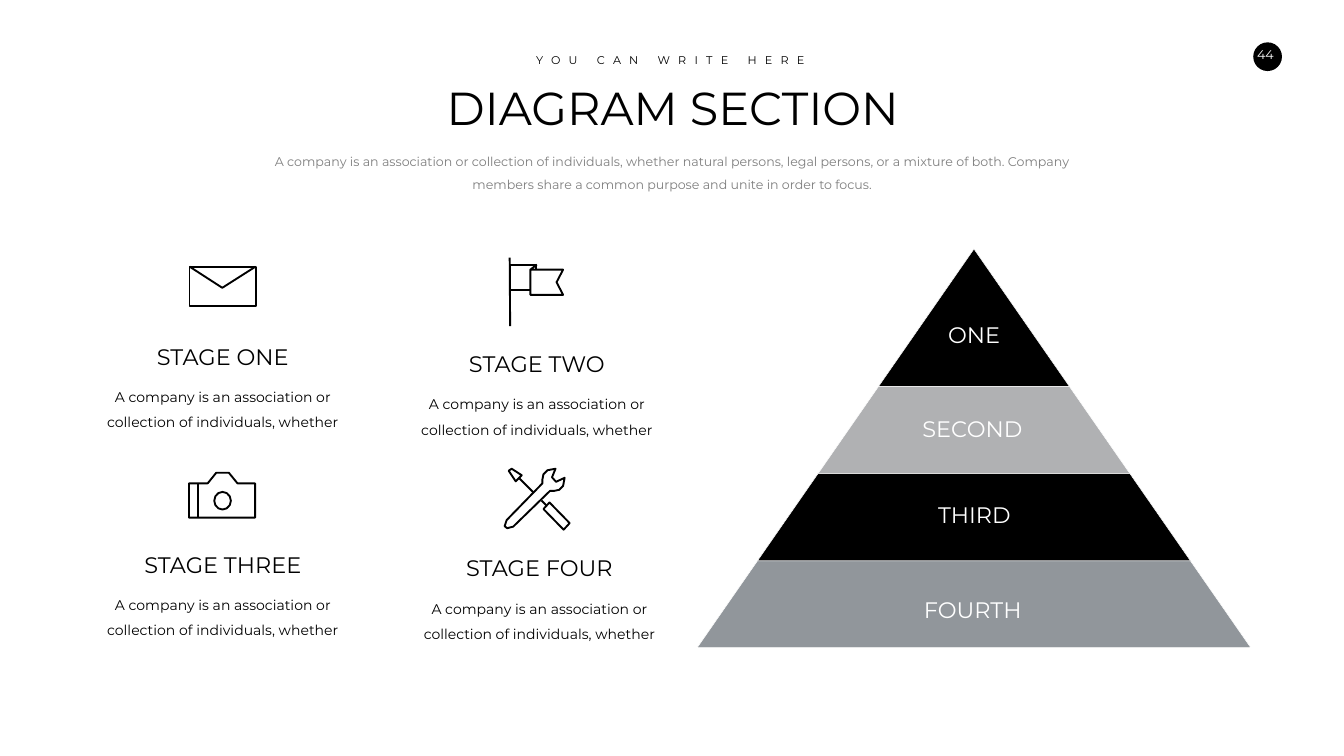
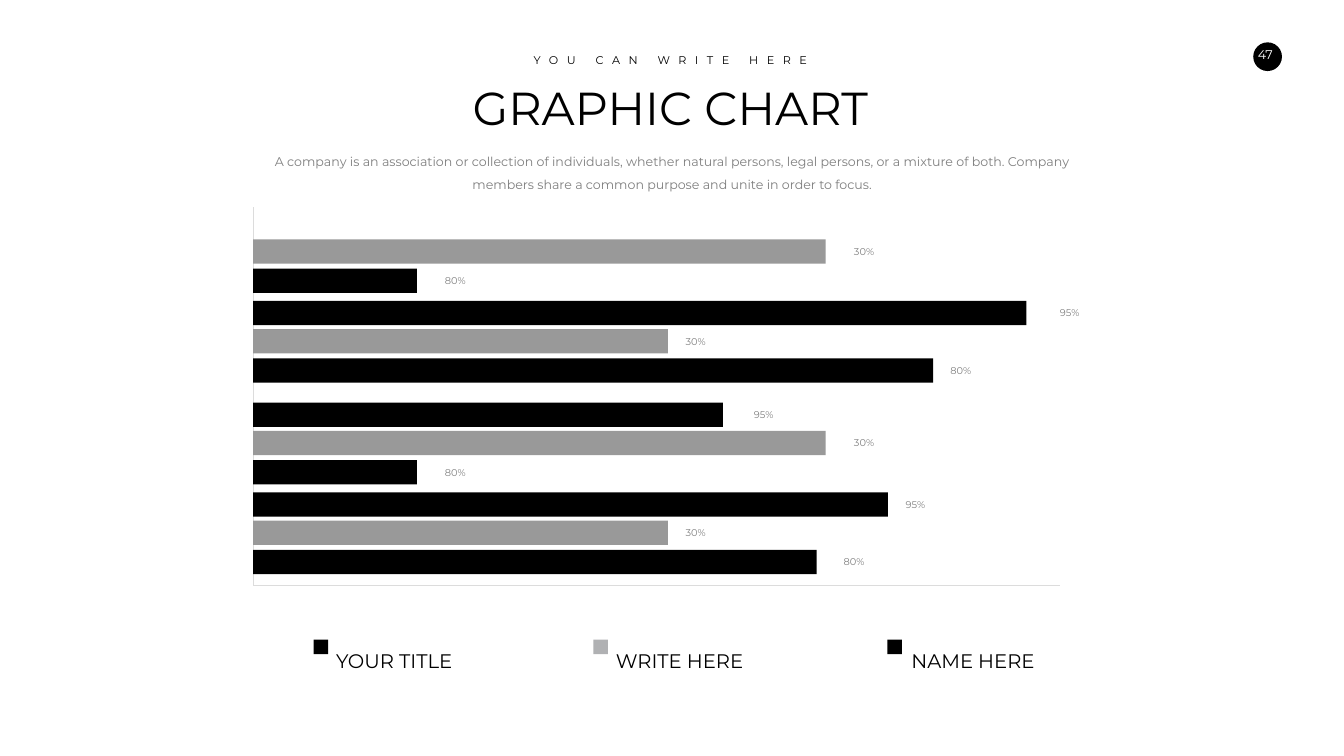
from typing import NamedTuple

from lxml import etree
from pptx import Presentation
from pptx.dml.color import RGBColor
from pptx.enum.shapes import MSO_CONNECTOR, MSO_SHAPE
from pptx.enum.text import MSO_ANCHOR, PP_ALIGN
from pptx.oxml.ns import qn
from pptx.util import Inches, Pt

RECTANGLE, OVAL = MSO_SHAPE.RECTANGLE, MSO_SHAPE.OVAL
STRAIGHT = MSO_CONNECTOR.STRAIGHT
LEFT, CENTER = PP_ALIGN.LEFT, PP_ALIGN.CENTER
TOP, MIDDLE = MSO_ANCHOR.TOP, MSO_ANCHOR.MIDDLE

FONT = "Montserrat"
BLACK, WHITE = "000000", "FFFFFF"
SILVER, SLATE, BAR_GRAY = "B0B1B3", "91969B", "999999"
INTRO_GRAY, LABEL_GRAY, AXIS_GRAY = "7F7F7F", "808080", "DCDCDC"

ICON_LINE = 2.7
SLIDE_WIDTH, SLIDE_HEIGHT = 26.66, 15
MIDDLE_X = SLIDE_WIDTH / 2
INTRO = ("A company is an association or collection of individuals, whether natural persons, "
         "legal persons, or a mixture of both. Company members share a common purpose and "
         "unite in order to focus.")
STAGE_TEXT = "A company is an association or collection of individuals, whether"

Point = tuple[float, float]


class Box(NamedTuple):
    left: float
    top: float
    width: float
    height: float


class Stage(NamedTuple):
    title: str
    center: float
    top: float
    title_width: float


class Tier(NamedTuple):
    label: str
    height: float
    color: str
    label_box: Box


class Bar(NamedTuple):
    label: str
    length: float
    label_gap: float = 0
    label_width: float = 1.1


class LegendItem(NamedTuple):
    label: str
    color: str
    marker_left: float
    text_left: float


STAGES = [
    Stage("STAGE ONE", 4.42, 6.75, 3.59),
    Stage("STAGE TWO", 10.65, 6.9, 3.66),
    Stage("STAGE THREE", 4.42, 10.88, 4.27),
    Stage("STAGE FOUR", 10.7, 10.95, 3.95),
]

APEX: Point = (19.32, 4.94)
PYRAMID_SLOPE = 5.49 / 7.91
TIERS = [
    Tier("ONE", 2.73, BLACK, Box(18.59, 6.32, 1.47, 0.64)),
    Tier("SECOND", 1.73, SILVER, Box(17.96, 8.19, 2.66, 0.64)),
    Tier("THIRD", 1.73, BLACK, Box(18.31, 9.9, 2.04, 0.64)),
    Tier("FOURTH", 1.72, SLATE, Box(17.99, 11.77, 2.61, 0.64)),
]

ENVELOPE = [
    [(5.07, 6.07), (3.76, 6.07), (3.76, 5.29), (5.07, 5.29), (5.07, 6.07)],
    [(3.76, 5.29), (4.41, 5.71), (5.07, 5.29)],
]
FLAG = [
    [(10.11, 5.11), (10.12, 6.47)],
    [(10.65, 5.25), (10.52, 5.35), (10.52, 5.85), (11.17, 5.85), (11.04, 5.6),
     (11.17, 5.35), (10.52, 5.35)],
    [(10.52, 5.75), (10.11, 5.75), (10.11, 5.25), (10.64, 5.25), (10.64, 5.35)],
]
CAMERA = [
    [(4.71, 9.59), (4.54, 9.38), (4.29, 9.38), (4.12, 9.59), (3.75, 9.59), (3.75, 10.27),
     (5.06, 10.27), (5.06, 9.59), (4.71, 9.59)],
    [(3.92, 9.59), (3.92, 10.28)],
]
LENS = Box(4.25, 9.76, 0.33, 0.35)
TOOLS = [
    [(10.74, 9.93), (10.84, 10.03)],
    [(10.78, 10.1), (10.9, 9.97), (11.3, 10.38), (11.18, 10.51), (10.78, 10.1)],
    [(10.23, 9.55), (10.35, 9.43), (10.15, 9.3), (10.09, 9.34), (10.23, 9.55)],
    [(10.58, 9.77), (10.29, 9.48)],
    [(11.2, 9.48), (11.03, 9.56), (10.95, 9.47), (11.02, 9.3), (10.86, 9.33), (10.78, 9.41),
     (10.76, 9.51), (10.76, 9.59), (10.05, 10.32), (10.01, 10.44), (10.06, 10.48),
     (10.18, 10.45), (10.91, 9.74), (10.99, 9.74), (11.09, 9.72), (11.17, 9.64), (11.2, 9.48)],
]

AXIS_LEFT, AXIS_RIGHT, AXIS_TOP, AXIS_BOTTOM = 5.02, 21.03, 4.11, 11.61
BAR_HEIGHT, BAR_LABEL_HEIGHT = 0.48, 0.56
BAR_OFFSETS = {"95%": 0, "30%": 0.56, "80%": 1.14}
BAR_GROUPS = [
    (4.19, [Bar("30%", 11.36, 0, 1.52), Bar("80%", 3.25, 0, 1.52)]),
    (5.97, [Bar("95%", 15.34, 0.31), Bar("30%", 8.23), Bar("80%", 13.49)]),
    (7.99, [Bar("95%", 9.32, 0.26), Bar("30%", 11.36, 0, 1.52), Bar("80%", 3.25, 0, 1.52)]),
    (9.77, [Bar("95%", 12.59), Bar("30%", 8.23), Bar("80%", 11.18, 0.19)]),
]
LEGEND = [
    LegendItem("YOUR TITLE", BLACK, 6.22, 6.57),
    LegendItem("WRITE HERE", SILVER, 11.77, 12.12),
    LegendItem("NAME HERE", BLACK, 17.6, 17.98),
]


def rgb(color: str) -> RGBColor:
    return RGBColor.from_string(color)


def inches(values) -> list[int]:
    return [Inches(value) for value in values]


def centered(center: float, top: float, width: float, height: float) -> Box:
    return Box(center - width / 2, top, width, height)


def add_text(slide, box: Box, text: str, size: float, color: str = BLACK, align=CENTER,
             line_spacing: float = 1.0, anchor=TOP, margins: Point = (0.1, 0.05)):
    shape = slide.shapes.add_textbox(*inches(box))
    frame = shape.text_frame
    frame.word_wrap = True
    frame.vertical_anchor = anchor
    frame.margin_left = frame.margin_right = Inches(margins[0])
    frame.margin_top = frame.margin_bottom = Inches(margins[1])
    paragraph = frame.paragraphs[0]
    paragraph.alignment = align
    paragraph.line_spacing = line_spacing
    run = paragraph.add_run()
    run.text = text
    run.font.name = FONT
    run.font.size = Pt(size)
    run.font.color.rgb = rgb(color)
    return shape


def style_shape(shape, fill: str | None, line: str | None = None, width: float = 0) -> None:
    shape.shadow.inherit = False
    if fill:
        shape.fill.solid()
        shape.fill.fore_color.rgb = rgb(fill)
    else:
        shape.fill.background()
    if line:
        shape.line.color.rgb = rgb(line)
        shape.line.width = Pt(width)
    else:
        shape.line.fill.background()


def add_block(shapes, kind, box: Box, fill: str | None, line: str | None = None,
              width: float = 0) -> None:
    style_shape(shapes.add_shape(kind, *inches(box)), fill, line, width)


def add_line(shapes, start: Point, end: Point, color: str, width: float) -> None:
    connector = shapes.add_connector(STRAIGHT, *inches(start + end))
    connector.line.color.rgb = rgb(color)
    connector.line.width = Pt(width)
    etree.SubElement(connector._element.spPr, qn("a:effectLst"))


def add_outline(shapes, points: list[Point], fill: str | None, line: str, width: float,
                close: bool = False) -> None:
    builder = shapes.build_freeform(*inches(points[0]))
    builder.add_line_segments([tuple(inches(point)) for point in points[1:]], close=close)
    style_shape(builder.convert_to_shape(), fill, line, width)


def add_eyebrow(slide, text: str, tracking: float) -> None:
    """Add a line of widely tracked letters; tracking is in points."""
    box = centered(MIDDLE_X - 0.03, 1.02, 5.78, 0.37)
    shape = add_text(slide, box, text, 16, margins=(0, 0.04))
    properties = shape.text_frame.paragraphs[0].runs[0]._r.get_or_add_rPr()
    properties.set("spc", str(round(tracking * 100)))


def add_base_slide(presentation, number: int, title: str, title_box: Box, tracking: float):
    slide = presentation.slides.add_slide(presentation.slide_layouts[6])
    slide.background.fill.solid()
    slide.background.fill.fore_color.rgb = rgb(WHITE)
    add_block(slide.shapes, OVAL, Box(24.86, 0.84, 0.57, 0.57), BLACK)
    add_text(slide, Box(24.67, 0.84, 0.86, 0.5), str(number), 18, WHITE, margins=(0.2, 0.1))
    add_text(slide, title_box, title, 66)
    add_eyebrow(slide, "YOU CAN WRITE HERE", tracking)
    add_text(slide, Box(5.32, 2.86, 16.03, 1.01), INTRO, 18, INTRO_GRAY, line_spacing=1.5)
    return slide


def add_icon(slide, strokes: list[list[Point]], lens: Box | None = None) -> None:
    shapes = slide.shapes.add_group_shape().shapes
    for points in strokes:
        if len(points) == 2:
            add_line(shapes, points[0], points[1], BLACK, ICON_LINE)
        else:
            add_outline(shapes, points, None, BLACK, ICON_LINE)
    if lens:
        add_block(shapes, OVAL, lens, None, BLACK, ICON_LINE)


def add_stage(slide, stage: Stage) -> None:
    add_text(slide, centered(stage.center, stage.top + 0.74, 4.82, 0.95), STAGE_TEXT, 20,
             line_spacing=1.5)
    add_text(slide, centered(stage.center, stage.top, stage.title_width, 0.64), stage.title, 32)


def add_pyramid(slide) -> None:
    center, top = APEX
    for tier in TIERS:
        bottom = top + tier.height
        upper, lower = [(y - APEX[1]) * PYRAMID_SLOPE for y in (top, bottom)]
        corners = [(center - lower, bottom), (center - upper, top),
                   (center + upper, top), (center + lower, bottom)]
        add_outline(slide.shapes, corners, tier.color, WHITE, 0.75, close=True)
        add_text(slide, tier.label_box, tier.label, 32, WHITE)
        top = bottom


def add_bar(slide, bar: Bar, top: float) -> None:
    color = BAR_GRAY if bar.label == "30%" else BLACK
    add_block(slide.shapes, RECTANGLE, Box(AXIS_LEFT, top, bar.length, BAR_HEIGHT), color)
    label_box = Box(AXIS_LEFT + bar.length + bar.label_gap, top - 0.04,
                    bar.label_width, BAR_LABEL_HEIGHT)
    add_text(slide, label_box, bar.label, 14, LABEL_GRAY, anchor=MIDDLE, margins=(0, 0))


def build_diagram_slide(presentation) -> None:
    slide = add_base_slide(presentation, 44, "DIAGRAM SECTION", Box(8.14, 1.52, 10.41, 1.21), 11.8)
    add_pyramid(slide)
    for strokes in (ENVELOPE, FLAG, TOOLS):
        add_icon(slide, strokes)
    add_icon(slide, CAMERA, LENS)
    for stage in STAGES:
        add_stage(slide, stage)


def build_chart_slide(presentation) -> None:
    slide = add_base_slide(presentation, 47, "GRAPHIC CHART", Box(8.73, 1.52, 9.13, 1.21), 12.2)
    origin = (AXIS_LEFT, AXIS_BOTTOM)
    for end in ((AXIS_LEFT, AXIS_TOP), (AXIS_RIGHT, AXIS_BOTTOM)):
        add_line(slide.shapes, origin, end, AXIS_GRAY, 1)
    for group_top, bars in BAR_GROUPS:
        for bar in bars:
            add_bar(slide, bar, group_top + BAR_OFFSETS[bar.label])
    for item in LEGEND:
        add_block(slide.shapes, RECTANGLE, Box(item.marker_left, 12.69, 0.29, 0.29), item.color)
        add_text(slide, Box(item.text_left, 12.6, 4.17, 0.81), item.label, 28, align=LEFT,
                 line_spacing=1.5)


def main() -> None:
    presentation = Presentation()
    presentation.slide_width = Inches(SLIDE_WIDTH)
    presentation.slide_height = Inches(SLIDE_HEIGHT)
    build_diagram_slide(presentation)
    build_chart_slide(presentation)
    presentation.save("out.pptx")


if __name__ == "__main__":
    main()
